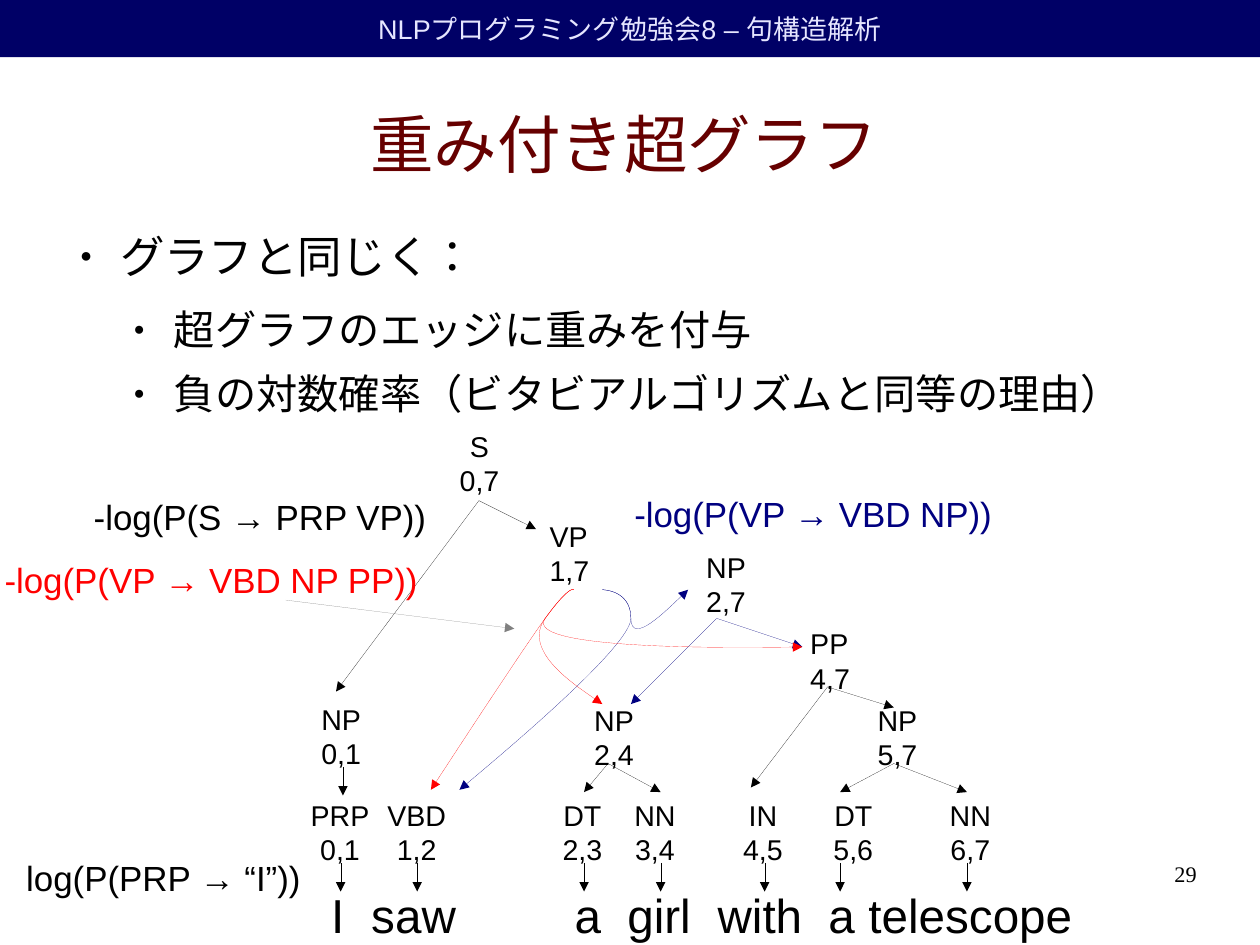
"""Build the slide on weighted hypergraphs for phrase structure parsing."""
import dataclasses

import lxml.etree
import pptx
import pptx.dml.color
import pptx.enum.lang
import pptx.enum.shapes
import pptx.enum.text
import pptx.oxml.ns
import pptx.util

Inches, Pt = pptx.util.Inches, pptx.util.Pt
qn = pptx.oxml.ns.qn
ALIGN = pptx.enum.text.PP_ALIGN
ANCHOR = pptx.enum.text.MSO_ANCHOR
AUTO = pptx.enum.text.MSO_AUTO_SIZE


@dataclasses.dataclass(frozen=True)
class Theme:
    font: str = "Arial"
    number_font: str = "Times New Roman"
    black: str = "000000"
    red: str = "FF0000"
    navy: str = "000080"
    gray: str = "808080"
    bar: str = "000066"
    bar_text: str = "E6E6FF"
    title: str = "660000"
    bar_size: int = 17
    title_size: int = 40
    body_sizes: tuple = (28, 26)
    sentence_size: int = 30
    weight_size: int = 22
    node_size: int = 18
    number_size: int = 14


T = Theme()
HEADER = "NLPプログラミング勉強会8 – 句構造解析"
TITLE = "重み付き超グラフ"
BULLETS = [
    (0, "グラフと同じく："),
    (1, "超グラフのエッジに重みを付与"),
    (1, "負の対数確率（ビタビアルゴリズムと同等の理由）"),
]
LEVELS = [(0.47, 14.2), (0.94, 8.7)]
WORDS = ["I", "saw", "a", "girl", "with", "a", "telescope"]
WORD_TABS = [0.35, 2.13, 2.59, 3.38, 4.35, 4.7]
WORD_ARROWS = [2.98, 3.65, 5.11, 5.78, 6.69, 7.35, 8.46]
TAG_TOP = 6.93
TAGS = [
    ("PRP", "0,1", 2.62, 0.71), ("VBD", "1,2", 3.29, 0.71),
    ("DT", "2,3", 4.82, 0.55), ("NN", "3,4", 5.45, 0.56),
    ("IN", "4,5", 6.4, 0.55), ("DT", "5,6", 7.19, 0.55),
    ("NN", "6,7", 8.21, 0.56),
]
PHRASES = [
    ("S", "0,7", 3.92, 3.7, ALIGN.CENTER),
    ("NP", "0,1", 2.71, 6.09, ALIGN.CENTER),
    ("VP", "1,7", 4.71, 4.49, ALIGN.LEFT),
    ("NP", "2,7", 6.08, 4.76, ALIGN.LEFT),
    ("PP", "4,7", 6.99, 5.43, ALIGN.LEFT),
    ("NP", "2,4", 5.1, 6.1, ALIGN.LEFT),
    ("NP", "5,7", 7.58, 6.1, ALIGN.LEFT),
]
BRANCHES = [
    (T.black, (4.19, 4.38), [(2.94, 6.05), (4.69, 4.63)]),
    (T.black, (3, 6.71), [(3, 6.96)]),
    (T.black, (5.32, 6.68), [(5.11, 6.93), (5.78, 6.93)]),
    (T.black, (7.24, 6.01), [(6.57, 6.89), (7.82, 6.19)]),
    (T.black, (7.82, 6.68), [(7.35, 6.93), (8.46, 6.93)]),
    (T.navy, (6.27, 5.41), [(7.02, 5.66), (5.52, 6.16)]),
    (T.gray, (2.5, 5.25), [(4.5, 5.5)]),
]
HYPEREDGES = [
    (T.navy, [(5.27, 5.16), (5.27, 5.16), (5.52, 5.16), (5.52, 5.41), (5.52, 5.66)],
     [(4.02, 6.91), (6.02, 5.16)]),
    (T.red, [(5.02, 5.16), (5.02, 5.16), (4.99, 5.11), (4.77, 5.41), (4.56, 5.7)],
     [(3.77, 6.91), (5.27, 6.16), (7.02, 5.66)]),
]
WEIGHTS = [
    ("-log(P(S → PRP VP))", T.black, 0.82, 4.34, 3.01),
    ("-log(P(VP → VBD NP PP))", T.red, 0.04, 4.89, 3.71),
    ("log(P(PRP → “I”))", T.black, 0.23, 7.49, 2.5),
    ("-log(P(VP → VBD NP))", T.navy, 5.55, 4.31, 3.23),
]


def rgb(color):
    return pptx.dml.color.RGBColor.from_string(color)


def place(sp, left, top, width, height):
    sp.left, sp.top, sp.width, sp.height = map(Inches, (left, top, width, height))


def style(p, size, color, align=ALIGN.LEFT, font=T.font):
    p.alignment = align
    for r in p.runs:
        r.font.size, r.font.name, r.font.color.rgb = Pt(size), font, rgb(color)


def no_insets(tf):
    tf.margin_left = tf.margin_right = tf.margin_top = tf.margin_bottom = 0


def add_text(s, text, box, size, color, align=ALIGN.LEFT, font=T.font, inset=True, wrap=False):
    sp = s.shapes.add_textbox(*map(Inches, box))
    tf = sp.text_frame
    tf.text, tf.word_wrap = text, wrap
    tf.auto_size = AUTO.NONE if wrap else AUTO.SHAPE_TO_FIT_TEXT
    if not inset:
        no_insets(tf)
    for p in tf.paragraphs:
        style(p, size, color, align, font)
    return sp


def arrow_line(sp, color):
    sp.line.color.rgb = rgb(color)
    ln = sp.line._get_or_add_ln()
    ln.set("w", "0")
    lxml.etree.SubElement(ln, qn("a:tailEnd"), type="triangle")


def add_arrow(s, start, end, color):
    sp = s.shapes.add_connector(pptx.enum.shapes.MSO_CONNECTOR.STRAIGHT, *map(Inches, start + end))
    arrow_line(sp, color)
    lxml.etree.SubElement(sp._element.spPr, qn("a:effectLst"))


def add_curve(s, points, color):
    start, *rest = [tuple(map(Inches, point)) for point in points]
    builder = s.shapes.build_freeform(*start)
    builder.add_line_segments(rest, close=False)
    sp = builder.convert_to_shape()
    sp.shadow.inherit = False
    sp.fill.background()
    arrow_line(sp, color)
    outline = sp._element.find(".//" + qn("a:path"))
    segments = outline.findall(qn("a:lnTo"))
    for i in range(0, len(segments), 3):
        bezier = lxml.etree.SubElement(outline, qn("a:cubicBezTo"))
        for segment in segments[i:i + 3]:
            bezier.append(segment[0])
            outline.remove(segment)


def add_bullet(p, level):
    indent, after = LEVELS[level]
    p.level, p.space_before, p.space_after = level, Pt(0), Pt(after)
    pPr = p._p.get_or_add_pPr()
    pPr.set("marL", str(Inches(indent)))
    pPr.set("indent", str(Inches(-0.35)))
    color = lxml.etree.SubElement(pPr, qn("a:buClr"))
    lxml.etree.SubElement(color, qn("a:srgbClr"), val=T.black)
    lxml.etree.SubElement(pPr, qn("a:buSzPct"), val="45000")
    lxml.etree.SubElement(pPr, qn("a:buChar"), char="●")
    style(p, T.body_sizes[level], T.black)
    for r in p.runs:
        r.font.language_id = pptx.enum.lang.MSO_LANGUAGE_ID.JAPANESE


def add_heading(s, width):
    bar = s.shapes.add_shape(pptx.enum.shapes.MSO_SHAPE.RECTANGLE, 0, 0, width, Inches(0.5))
    bar.shadow.inherit = False
    bar.fill.solid()
    bar.fill.fore_color.rgb = rgb(T.bar)
    bar.line.fill.background()
    bar.text_frame.text = HEADER
    bar.text_frame.vertical_anchor = ANCHOR.MIDDLE
    style(bar.text_frame.paragraphs[0], T.bar_size, T.bar_text, ALIGN.CENTER)

    title, body = s.shapes.title, s.placeholders[1]
    place(title, 0.5, 0.62, 9.92, 1.27)
    place(body, 0.58, 2, 9.92, 5.46)
    for sp in (title, body):
        no_insets(sp.text_frame)
        sp.text_frame.auto_size = AUTO.NONE
    title.text_frame.text = TITLE
    title.text_frame.vertical_anchor = ANCHOR.MIDDLE
    style(title.text_frame.paragraphs[0], T.title_size, T.title, ALIGN.CENTER)
    body.text_frame.text = "\n".join(text for _, text in BULLETS)
    for p, (level, _) in zip(body.text_frame.paragraphs, BULLETS):
        add_bullet(p, level)


def add_graph(s):
    sentence = add_text(s, "\t".join(WORDS), (2.8, 7.7, 6.9, 0.56), T.sentence_size, T.black, wrap=True)
    pPr = sentence.text_frame.paragraphs[0]._p.get_or_add_pPr()
    tabs = lxml.etree.SubElement(pPr, qn("a:tabLst"))
    for stop in WORD_TABS:
        lxml.etree.SubElement(tabs, qn("a:tab"), pos=str(Inches(stop)), algn="l")
    for x in WORD_ARROWS:
        add_arrow(s, (x, 7.55), (x, 7.8), T.black)
    nodes = PHRASES + [(tag, span, x, TAG_TOP, ALIGN.CENTER, w) for tag, span, x, w in TAGS]
    for label, span, x, y, align, *width in nodes:
        box = (x, y, width[0] if width else 0.55, 0.66)
        node = add_text(s, f"{label}\n{span}", box, T.node_size, T.black, align)
        if align == ALIGN.CENTER:
            node.text_frame.margin_left = node.text_frame.margin_right = 0
    for color, start, ends in BRANCHES:
        for end in ends:
            add_arrow(s, start, end, color)
    for color, stem, ends in HYPEREDGES:
        for end in ends:
            add_curve(s, stem + [end, end], color)
    for text, color, x, y, width in WEIGHTS:
        add_text(s, text, (x, y, width, 0.34), T.weight_size, color, inset=False)


def main():
    prs = pptx.Presentation()
    prs.slide_width, prs.slide_height = pptx.util.Cm(28), pptx.util.Cm(21)
    s = prs.slides.add_slide(prs.slide_layouts[1])
    add_heading(s, prs.slide_width)
    add_graph(s)
    add_text(s, "29", (7.9, 7.53, 2.57, 0.57), T.number_size, T.black,
             ALIGN.RIGHT, T.number_font, inset=False, wrap=True)
    prs.save("out.pptx")


if __name__ == "__main__":
    main()
